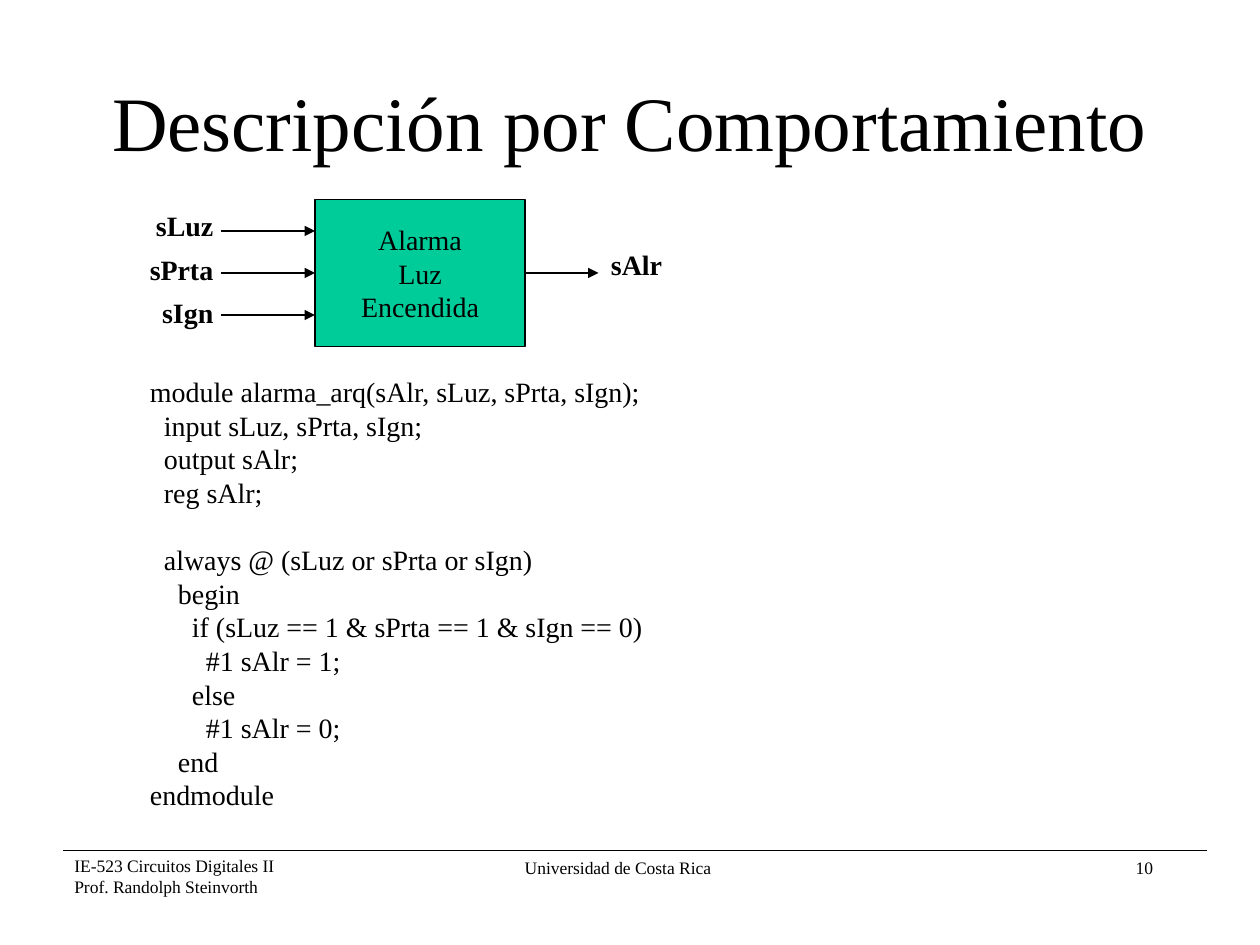
from pptx import Presentation
from pptx.dml.color import RGBColor
from pptx.enum.shapes import MSO_CONNECTOR, MSO_SHAPE
from pptx.enum.text import MSO_ANCHOR, MSO_AUTO_SIZE, PP_ALIGN
from pptx.oxml.ns import qn
from pptx.util import Inches, Pt
from lxml.etree import SubElement

CELL = Inches(1) // 12
FONT = "Times New Roman"
INK, GREEN = "000000", "00CC99"
CODE = [
    (0, "module alarma_arq(sAlr, sLuz, sPrta, sIgn);"),
    (1, "input sLuz, sPrta, sIgn;"),
    (1, "output sAlr;"),
    (1, "reg sAlr;"),
    (1, "always @ (sLuz or sPrta or sIgn)"),
    (2, "begin"),
    (3, "if (sLuz == 1 & sPrta == 1 & sIgn == 0)"),
    (4, "#1 sAlr = 1;"),
    (3, "else"),
    (4, "#1 sAlr = 0;"),
    (2, "end"),
    (0, "endmodule"),
]


def color(code):
    """Turn a hex string into a colour."""
    return RGBColor.from_string(code)


def grid(*cells):
    """Turn grid cells into lengths."""
    return [round(n * CELL) for n in cells]


def write(frame, lines, size, align=PP_ALIGN.LEFT, bold=False):
    """Fill a text frame with one paragraph per line."""
    for i, line in enumerate(lines):
        para = frame.paragraphs[0] if i == 0 else frame.add_paragraph()
        para.text = line
        para.alignment = align
        para.font.name = FONT
        para.font.size = Pt(size)
        para.font.bold = bold
        para.font.color.rgb = color(INK)
    return frame.paragraphs


def label(slide, box, lines, size, wrap=False, **style):
    """Add a text box and return its paragraphs."""
    frame = slide.shapes.add_textbox(*grid(*box)).text_frame
    frame.word_wrap = wrap
    frame.auto_size = MSO_AUTO_SIZE.SHAPE_TO_FIT_TEXT
    return write(frame, lines, size, **style)


def rule(slide, left, right, row, arrow=False):
    """Draw a level line, with an arrowhead on request."""
    ends = grid(left, row, right, row)
    line = slide.shapes.add_connector(MSO_CONNECTOR.STRAIGHT, *ends)
    line.line.color.rgb = color(INK)
    line.line.width = Pt(0.75)
    props = line._element.spPr
    if arrow:
        SubElement(props.get_or_add_ln(), qn("a:tailEnd"), type="triangle")
    SubElement(props, qn("a:effectLst"))
    return line


def heading(slide, box, text):
    """Place the title."""
    title = slide.shapes.title
    title.left, title.top, title.width, title.height = grid(*box)
    title.text_frame.vertical_anchor = MSO_ANCHOR.MIDDLE
    write(title.text_frame, [text], 44, PP_ALIGN.CENTER)


def diagram(slide, box):
    """Draw the alarm block with its inputs and output."""
    x, y, w, h = box
    block = slide.shapes.add_shape(MSO_SHAPE.RECTANGLE, *grid(*box))
    block.shadow.inherit = False
    block.fill.solid()
    block.fill.fore_color.rgb = color(GREEN)
    block.line.color.rgb = color(INK)
    block.line.width = Pt(1)
    block.text_frame.word_wrap = False
    block.text_frame.vertical_anchor = MSO_ANCHOR.MIDDLE
    write(block.text_frame, ["Alarma\vLuz", "Encendida"], 16, PP_ALIGN.CENTER)

    mid = y + h / 2
    wires = [rule(slide, x - 9, x, mid + step, True) for step in (-4, 0, 4)]
    wires[1].end_connect(block, 1)
    rule(slide, x + w, x + w + 7, mid, True).begin_connect(block, 3)

    names = ["sLuz", "sPrta", "sIgn"]
    spot = (x - 17, y - 0.7, 8.5, 13.7)
    for para in label(slide, spot, names, 16, align=PP_ALIGN.RIGHT, bold=True):
        para.line_spacing = Pt(25)
    label(slide, (x + w + 7, mid - 3, 8, 4.4), ["sAlr"], 16, True, bold=True)


def listing(slide, box):
    """Write the code, indented by level."""
    paras = label(slide, box, [text for _, text in CODE], 16)
    for para, (level, text) in zip(paras, CODE):
        props = para._p.get_or_add_pPr()
        props.set("marL", str(Pt(8 * level)))
        props.set("indent", "0")
        if text.startswith("always"):
            para.space_before = Pt(19.2)


def footer(slide, box):
    """Draw the footer line and its three texts."""
    x, y, w, h = box
    rule(slide, x, x + w, y)
    course = ["IE-523 Circuitos Digitales II", "Prof. Randolph Steinvorth"]
    label(slide, (x - 0.1, y - 0.2, 21.4, h), course, 10)
    label(slide, (x + 42.8, y, 20.2, 3.2), ["Universidad de Costa Rica"], 10)
    label(slide, (x + 93, y, 12, 3.2), ["10"], 10, True, align=PP_ALIGN.RIGHT)


def main():
    """Build the slide and save it."""
    deck = Presentation()
    deck.slide_width, deck.slide_height = grid(120, 90)
    slide = deck.slides.add_slide(deck.slide_layouts[5])
    heading(slide, (9, 4, 102, 15), "Descripción por Comportamiento")
    diagram(slide, (30, 19, 20, 14))
    listing(slide, (13.1, 35.1, 49.3, 42.8))
    footer(slide, (6, 81, 109, 5.3))
    deck.save("out.pptx")


if __name__ == "__main__":
    main()
